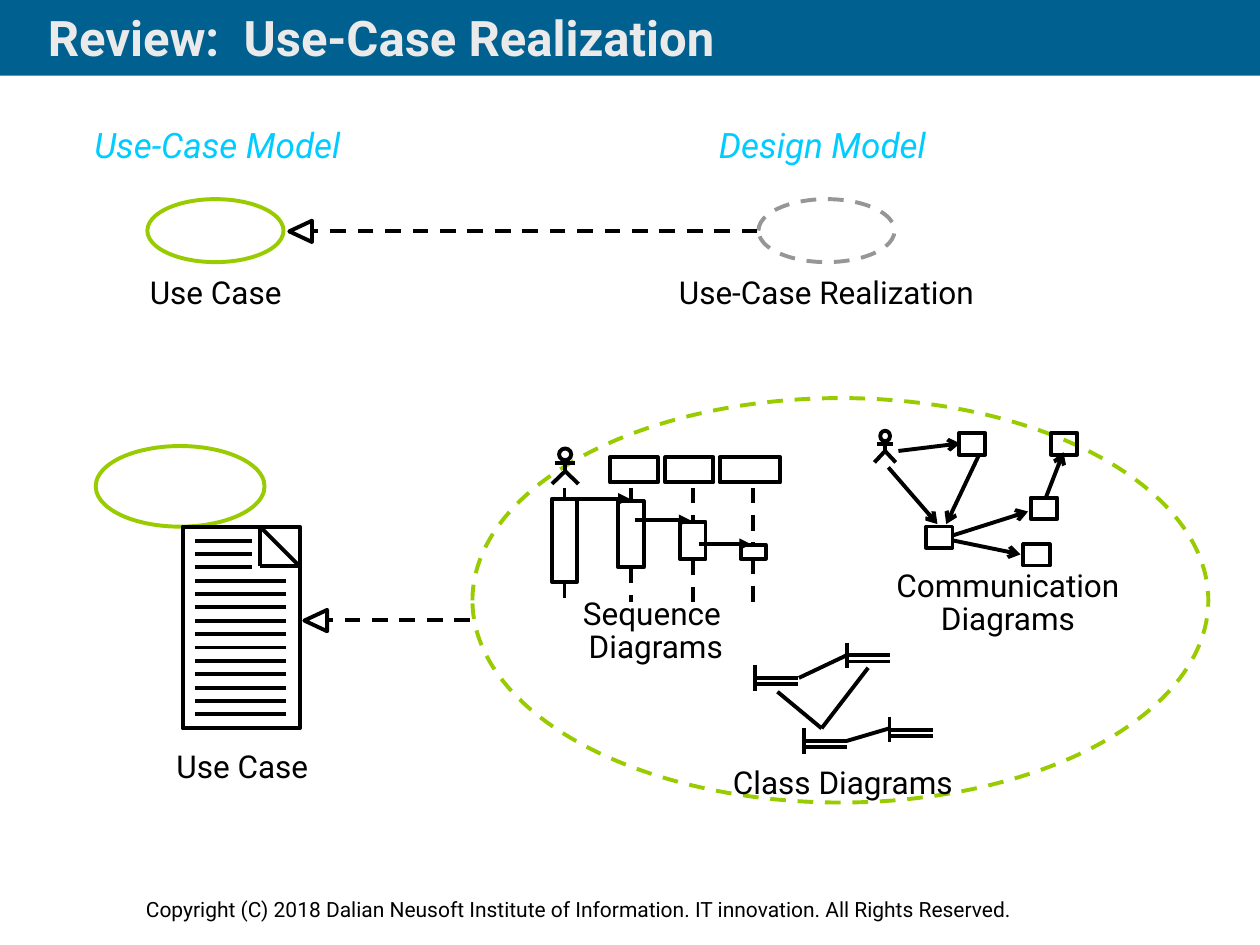
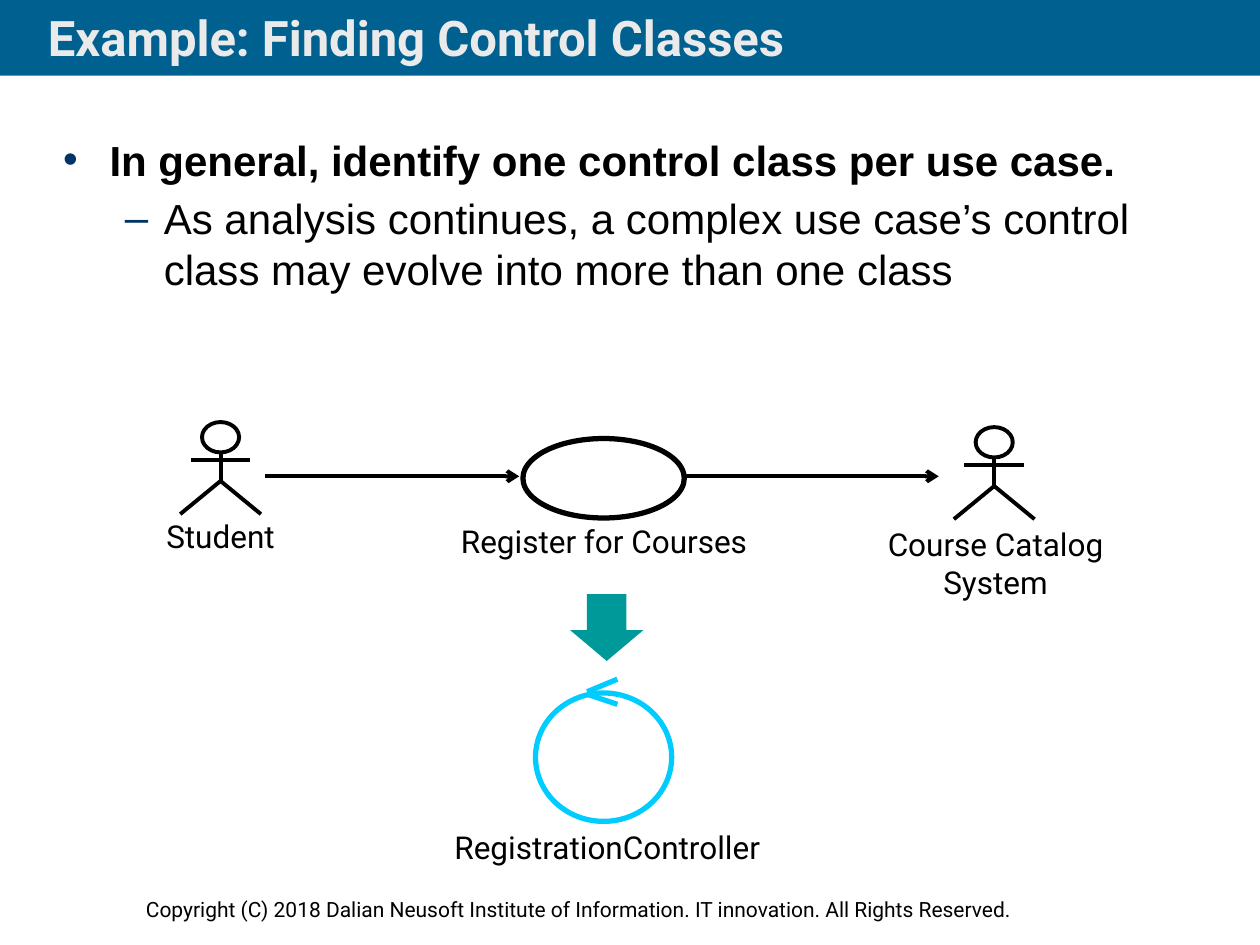
import dataclasses

import pptx
import pptx.dml.color
import pptx.enum.dml
import pptx.enum.shapes
import pptx.enum.text
import pptx.oxml
import pptx.oxml.ns
import pptx.slide
import pptx.util

Pt = pptx.util.Pt
RGBColor = pptx.dml.color.RGBColor
SHAPE = pptx.enum.shapes.MSO_SHAPE
ALIGN = pptx.enum.text.PP_ALIGN

BAND_BLUE = RGBColor(0x00, 0x61, 0x91)
TITLE_GREY = RGBColor(0xEA, 0xEA, 0xEA)
BLACK = RGBColor(0x00, 0x00, 0x00)
GREEN = RGBColor(0x99, 0xCC, 0x00)
GREY = RGBColor(0x96, 0x96, 0x96)
CYAN = RGBColor(0x00, 0xCC, 0xFF)
TEAL = RGBColor(0x00, 0x99, 0x99)
BULLET_NAVY = RGBColor(0x00, 0x33, 0x66)
LABEL_FONT = "Roboto"
BODY_FONT = "Arial"
COPYRIGHT = ("Copyright (C) 2018 Dalian Neusoft Institute of Information. "
             "IT innovation. All Rights Reserved.")


def add_xml(parent, tag, **attributes):
    """Append a drawing element to a parent and return it."""
    element = pptx.oxml.parse_xml(f"<a:{tag} {pptx.oxml.ns.nsdecls('a')}/>")
    for name, value in attributes.items():
        element.set(name, value)
    parent.append(element)
    return element


def stroke(line, color, width, dashed):
    """Set the colour, width and dash of a line."""
    line.color.rgb = color
    line.width = Pt(width)
    if dashed:
        line.dash_style = pptx.enum.dml.MSO_LINE.DASH


def format_runs(paragraph, font, size, color, bold=False, italic=False):
    """Format every run of a paragraph."""
    for span in paragraph.runs:
        span.font.name = font
        span.font.size = Pt(size)
        span.font.color.rgb = color
        span.font.bold = bold
        span.font.italic = italic


@dataclasses.dataclass
class Box:
    """A region of a page whose contents are placed in points from its corner."""
    page: pptx.slide.Slide
    left: float = 0
    top: float = 0

    def inner(self, left, top):
        """Return a box nested inside this one."""
        return Box(self.page, self.left + left, self.top + top)

    def point(self, x, y):
        """Return a position on the page."""
        return Pt(self.left + x), Pt(self.top + y)

    def shape(self, kind, left, top, width, height, fill=None):
        """Add a preset shape without shadow or line."""
        shape = self.page.shapes.add_shape(
            kind, *self.point(left, top), Pt(width), Pt(height))
        shape.shadow.inherit = False
        shape.line.fill.background()
        if fill is None:
            shape.fill.background()
        else:
            shape.fill.solid()
            shape.fill.fore_color.rgb = fill
        return shape

    def outline(self, kind, left, top, width, height,
                color=BLACK, weight=2.25, dashed=False):
        """Add an unfilled, outlined shape."""
        shape = self.shape(kind, left, top, width, height)
        stroke(shape.line, color, weight, dashed)
        return shape

    def line(self, x1, y1, x2, y2, color=BLACK, weight=2.25, dashed=False, arrow=None):
        """Add a straight line with an optional arrowhead."""
        connector = self.page.shapes.add_connector(
            pptx.enum.shapes.MSO_CONNECTOR.STRAIGHT, *self.point(x1, y1), *self.point(x2, y2))
        stroke(connector.line, color, weight, dashed)
        properties = connector.element.spPr
        if arrow:
            add_xml(properties.find(pptx.oxml.ns.qn("a:ln")), "tailEnd", type=arrow)
        add_xml(properties, "effectLst")

    def label(self, text, left, top, width, height=29, size=18, color=BLACK,
              italic=False, align=ALIGN.CENTER, spacing=None):
        """Add a text label."""
        label = self.page.shapes.add_textbox(*self.point(left, top), Pt(width), Pt(height))
        label.text_frame.word_wrap = True
        label.text_frame.text = text
        for paragraph in label.text_frame.paragraphs:
            paragraph.alignment = align
            if spacing:
                paragraph.line_spacing = Pt(spacing)
            format_runs(paragraph, LABEL_FONT, size, color, italic=italic)
        return label


def draw_shared(page, master):
    """Draw the title band and copyright line and move them to the master."""
    box = Box(page)
    band = box.shape(SHAPE.RECTANGLE, 0, 0, 720, 43.2, BAND_BLUE)
    footer = box.label(COPYRIGHT, 76.3, 509, 596, 21.6, size=12, align=ALIGN.LEFT)
    for number, shape in enumerate((footer, band), 100):
        shape.element.nvSpPr.cNvPr.set("id", str(number))
        master.shapes.element.insert(2, shape.element)


def fill_title(page, text):
    """Place and format the title."""
    title = page.shapes.title
    title.left, title.top, title.width, title.height = Pt(20.2), Pt(0), Pt(578), Pt(42.5)
    frame = title.text_frame
    frame.text = text
    frame.auto_size = pptx.enum.text.MSO_AUTO_SIZE.NONE
    frame.vertical_anchor = pptx.enum.text.MSO_ANCHOR.MIDDLE
    frame.paragraphs[0].alignment = ALIGN.LEFT
    format_runs(frame.paragraphs[0], LABEL_FONT, 28, TITLE_GREY, bold=True)


def fill_body(body, items):
    """Place the body and fill it with bold points and plain subpoints."""
    body.left, body.top, body.width, body.height = Pt(28.8), Pt(73), Pt(668), Pt(397)
    frame = body.text_frame
    frame.text = "\n".join(text for level, text in items)
    frame.auto_size = pptx.enum.text.MSO_AUTO_SIZE.NONE
    styles = [(26.6, -26.6, "•"), (57.6, -22.3, "–")]
    for index, (paragraph, (level, text)) in enumerate(zip(frame.paragraphs, items)):
        margin, indent, bullet = styles[level]
        paragraph.level = level
        properties = paragraph._p.get_or_add_pPr()
        properties.set("marL", str(Pt(margin)))
        properties.set("indent", str(Pt(indent)))
        add_xml(add_xml(properties, "buClr"), "srgbClr", val=str(BULLET_NAVY))
        add_xml(properties, "buChar", char=bullet)
        paragraph.space_before = Pt(4.8 if index else 0)
        format_runs(paragraph, BODY_FONT, 24, BLACK, bold=level == 0)


def draw_actor(box, width, height):
    """Draw a stick figure that fills the given size."""
    middle, hips = width / 2, height * 0.64
    box.outline(SHAPE.OVAL, width * 0.27, 0, width * 0.46, height * 0.33)
    box.line(middle, height * 0.33, middle, hips)
    box.line(width * 0.13, height * 0.41, width * 0.87, height * 0.41)
    builder = box.page.shapes.build_freeform(*box.point(0, height))
    builder.add_line_segments([box.point(middle, hips), box.point(width, height)], close=False)
    legs = builder.convert_to_shape()
    legs.shadow.inherit = False
    legs.fill.background()
    stroke(legs.line, BLACK, 2.25, False)


def draw_realization(box, length):
    """Draw a dashed line that ends in a hollow triangle on the left."""
    head = box.outline(SHAPE.ISOSCELES_TRIANGLE, 0.4, -6.1, 12.2, 13)
    head.rotation = 270
    box.line(length, 0, 14, 0, dashed=True)


def draw_models(box):
    """Draw the use case and its realization below the model names."""
    box.label("Use-Case Model", 0, 0, 166, 32, 20, CYAN, True, ALIGN.LEFT)
    box.label("Design Model", 349.2, 0, 148, 32, 20, CYAN, True)
    box.outline(SHAPE.OVAL, 37.4, 46.8, 77.8, 36, GREEN)
    box.outline(SHAPE.OVAL, 386.6, 46.8, 77.8, 36, GREY, dashed=True)
    box.label("Use Case", 26.5, 85.7, 100)
    box.label("Use-Case Realization", 325.5, 85.7, 200)
    draw_realization(box.inner(118.5, 64.8), 267.5)


def draw_use_case_document(box):
    """Draw the use case with its written page."""
    box.outline(SHAPE.OVAL, 0, 0, 96.5, 46.1, GREEN)
    sheet = box.inner(49.7, 46.1)
    width, fold = 67, 22.7
    sheet.outline(SHAPE.RECTANGLE, 0, 0, width, 115.2)
    corner = [(width - fold, 0), (width, fold), (width - fold, fold), (width - fold, 0)]
    for start, end in zip(corner, corner[1:]):
        sheet.line(*start, *end)
    for row in range(14):
        y = 7.9 + row * 7.64
        sheet.line(7.2, y, 39.6 if row < 3 else 59, y)
    box.label("Use Case", 33.8, 168.5, 100)


def draw_sequence_diagram(box):
    """Draw an actor, three objects and the messages between them."""
    draw_actor(box, 15.1, 20.2)
    for left, width in [(33.1, 27.4), (64.8, 27.4), (95.8, 34.6)]:
        box.outline(SHAPE.RECTANGLE, left, 5, width, 14.4)
    for x, start, end in [(7.2, 28.8, 76.3), (45.2, 29.9, 68),
                          (80.6, 41.8, 63.4), (115, 55.1, 63)]:
        box.line(x, 22.3, x, start, dashed=True)
        box.outline(SHAPE.RECTANGLE, x - 7.2, start, 14.4, end - start)
        box.line(x, end, x, 87.8, dashed=True)
    for y, start, end in [(28.8, 6.5, 44.6), (41, 47.5, 79.2), (54.7, 84.2, 113.8)]:
        box.line(start, y, end, y, arrow="triangle")
    box.label("Sequence \vDiagrams", 4.3, 82.1, 110.2, 45.4, spacing=19)


def draw_communication_diagram(box):
    """Draw an actor and five linked objects."""
    draw_actor(box, 12.2, 18)
    for left, top in [(48.2, 1.4), (29.5, 54.7), (85, 64.8), (89.3, 38.2), (100.8, 1.4)]:
        box.outline(SHAPE.RECTANGLE, left, top, 15.1, 12.2)
    for link in [(7.9, 20.9, 36, 53.3), (13.7, 11.5, 49, 7.2), (44.6, 62.6, 83.5, 70.6),
                 (44.6, 59.8, 87.8, 46.1), (97.9, 38.2, 108, 12.2), (59.8, 13.7, 41, 53.3)]:
        box.line(*link, arrow="arrow")
    box.label("Communication Diagrams", -25.2, 76.3, 203, 45.4, spacing=19)


def draw_class_diagram(box):
    """Draw four class symbols and their associations."""
    for left, top in [(0, 13), (52.6, 0), (28.1, 49), (77, 42.5)]:
        box.line(left, top, left, top + 14.4)
        for rail in (7.2, 10.8):
            box.line(left, top + rail, left + 24.8, top + rail)
    for association in [(38.2, 49, 13, 28.1), (25.2, 20.2, 52.6, 7.2),
                        (52.6, 56.2, 77, 49), (38.2, 49, 64.8, 14.4)]:
        box.line(*association)
    box.label("Class Diagrams", -29.6, 65.5, 160)


def draw_realization_diagrams(box):
    """Draw the realization ellipse and the diagrams inside it."""
    box.outline(SHAPE.OVAL, 0, 0, 420.5, 231.1, GREEN, dashed=True)
    draw_sequence_diagram(box.inner(45.4, 28.8))
    draw_communication_diagram(box.inner(229.7, 18.7))
    draw_class_diagram(box.inner(161.3, 139.7))


def draw_registration(box):
    """Draw the use case between its two actors."""
    draw_actor(box, 46.1, 52.6)
    draw_actor(box.inner(442.1, 2.9), 46.1, 52.6)
    box.outline(SHAPE.OVAL, 195.8, 9.4, 92.2, 45.4, weight=3)
    for start, end in [(48.2, 193.7), (288.7, 433.4)]:
        box.line(start, 31, end, 31, arrow="arrow")
    box.label("Student", -39.6, 50.4, 125.3)
    box.label("Register for Courses", 124.5, 53.3, 235.4)
    box.label("Course Catalog\nSystem", 362.9, 55.4, 206, 51)


def draw_controller(box):
    """Draw the arrow down to the control class."""
    arrow = box.shape(SHAPE.DOWN_ARROW, 19.8, 0, 41.8, 38.2, TEAL)
    arrow.adjustments[0], arrow.adjustments[1] = 0.54, 0.46
    box.outline(SHAPE.OVAL, 0, 56.5, 77.8, 73.4, CYAN, 3)
    for start, end in [(48.6, 55.8), (63, 57.2)]:
        box.line(46.8, start, 29.5, end, CYAN, 3)
    box.label("RegistrationController", -59, 130, 200)


def main():
    """Build both slides and save the deck."""
    deck = pptx.Presentation()
    deck.slide_width, deck.slide_height = Pt(720), Pt(540)

    review = deck.slides.add_slide(deck.slide_layouts[5])
    draw_shared(review, deck.slide_master)
    fill_title(review, "Review:  Use-Case Realization")
    draw_models(Box(review, 46.8, 67))
    draw_use_case_document(Box(review, 54.7, 254.9))
    draw_realization_diagrams(Box(review, 270, 227.5))
    draw_realization(Box(review, 173.9, 354.2), 94.7)

    example = deck.slides.add_slide(deck.slide_layouts[1])
    fill_title(example, "Example: Finding Control Classes")
    fill_body(example.placeholders[1], [
        (0, "In general, identify one control class per use case."),
        (1, "As analysis continues, a complex use case’s control class "
            "may evolve into more than one class")])
    draw_registration(Box(example, 103, 241.2))
    draw_controller(Box(example, 306, 339.5))
    deck.save("out.pptx")


if __name__ == "__main__":
    main()
